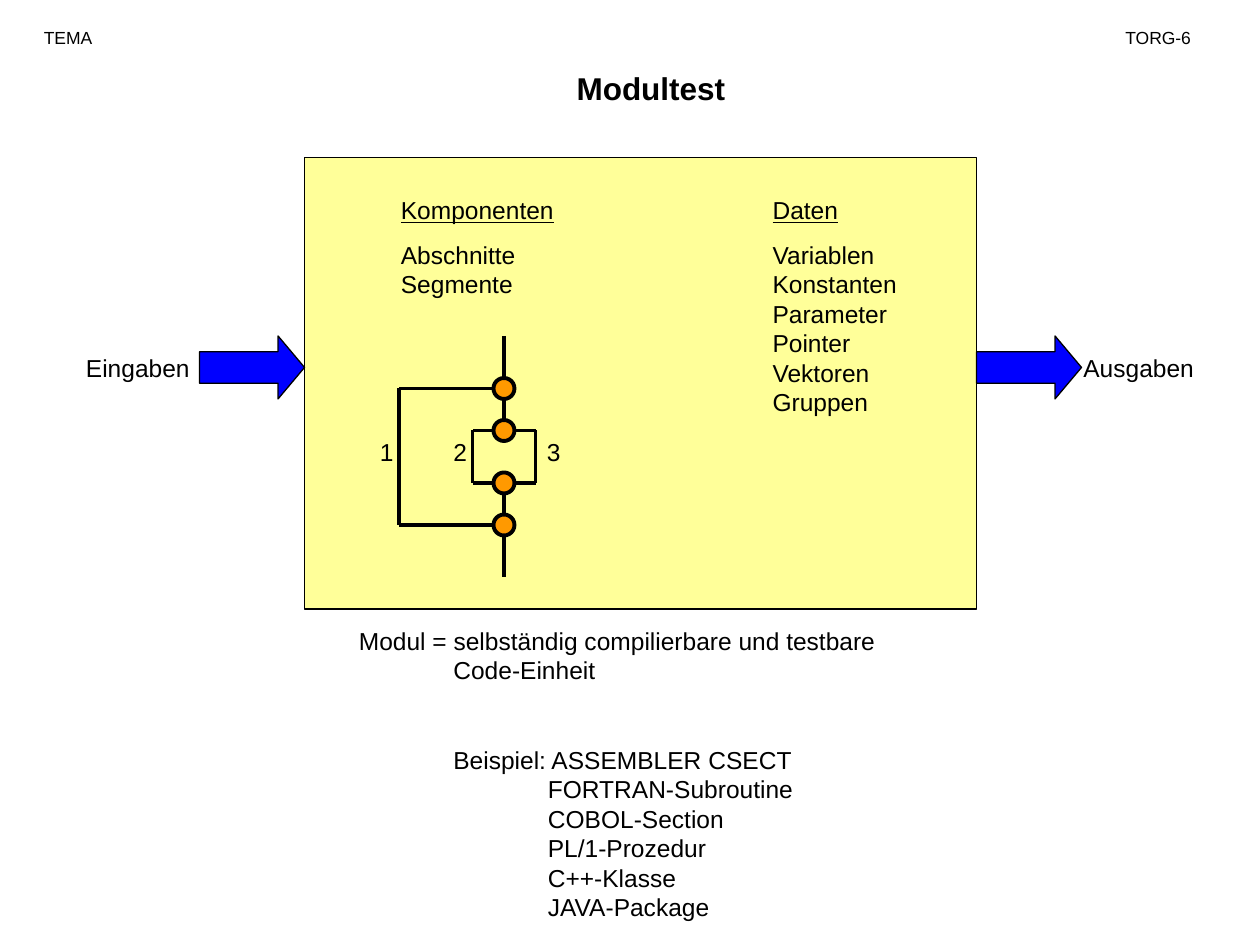
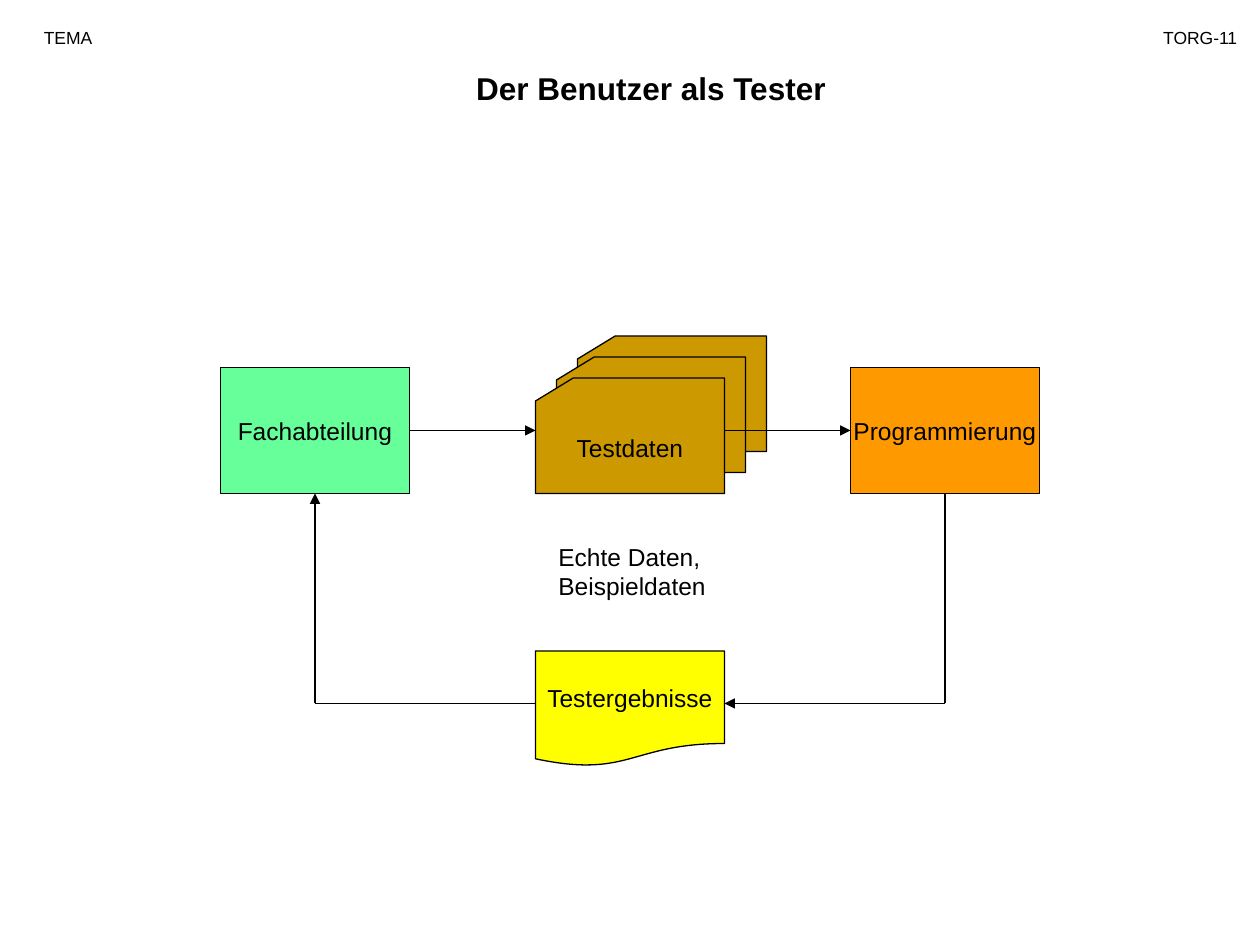
from lxml import etree
from pptx import Presentation
from pptx.dml.color import RGBColor
from pptx.enum.shapes import MSO_CONNECTOR, MSO_SHAPE
from pptx.enum.text import MSO_ANCHOR, MSO_AUTO_SIZE, PP_ALIGN
from pptx.oxml.ns import qn
from pptx.util import Emu, Inches, Pt

CELL = Inches(1) // 12
COLUMNS, ROWS = 120, 90
FONT = "Arial"
BODY_SIZE, TITLE_SIZE, HEADER_SIZE = 14, 18, 10
THIN, THICK = 0.75, 2.25
HANG = Inches(0.75)
COLORS = {
    "ink": "000000",
    "module": "FFFF99",
    "node": "FF9900",
    "flow": "0000FF",
    "cards": "CC9900",
    "department": "66FF99",
    "programming": "FF9900",
    "results": "FFFF00",
}
LEFT, CENTER, RIGHT = PP_ALIGN.LEFT, PP_ALIGN.CENTER, PP_ALIGN.RIGHT
TOP, MIDDLE = MSO_ANCHOR.TOP, MSO_ANCHOR.MIDDLE
RECTANGLE, CIRCLE, ARROW = MSO_SHAPE.RECTANGLE, MSO_SHAPE.OVAL, MSO_SHAPE.RIGHT_ARROW
CARD, DOCUMENT = MSO_SHAPE.FLOWCHART_CARD, MSO_SHAPE.FLOWCHART_DOCUMENT
STRAIGHT = MSO_CONNECTOR.STRAIGHT
SIDE_LEFT, SIDE_BOTTOM, SIDE_RIGHT = 1, 2, 3


def grid(*cells):
    """Turn grid cells into lengths."""
    return [Emu(round(cell * CELL)) for cell in cells]


def color(name):
    """Look up a named colour."""
    return RGBColor.from_string(COLORS[name])


def style(para, size=BODY_SIZE, align=LEFT, bold=False, underline=None):
    """Format a whole paragraph."""
    para.alignment = align
    font = para.font
    font.name, font.size, font.bold, font.underline = FONT, Pt(size), bold, underline
    font.color.rgb = color("ink")


def add_text(page, box, text, size=BODY_SIZE, align=LEFT):
    """Add a wrapping text box and return its frame."""
    frame = page.shapes.add_textbox(*grid(*box)).text_frame
    frame.word_wrap = True
    frame.paragraphs[0].text = text
    style(frame.paragraphs[0], size, align)
    return frame


def add_paragraph(frame, text, space_before):
    """Append a body paragraph after a gap."""
    para = frame.add_paragraph()
    para.text = text
    para.space_before = Pt(space_before)
    style(para)
    return para


def add_box(page, kind, box, fill, text="", weight=THIN):
    """Add an outlined, filled shape with an optional centred label."""
    shape = page.shapes.add_shape(kind, *grid(*box))
    shape.shadow.inherit = False
    shape.fill.solid()
    shape.fill.fore_color.rgb = color(fill)
    shape.line.color.rgb = color("ink")
    shape.line.width = Pt(weight)
    if text:
        frame = shape.text_frame
        frame.word_wrap = False
        frame.vertical_anchor = MIDDLE
        frame.paragraphs[0].text = text
        style(frame.paragraphs[0], align=CENTER)
    return shape


def add_line(page, start, end, weight=THIN, arrow=False):
    """Draw a straight line, with an arrowhead at its end if asked."""
    line = page.shapes.add_connector(STRAIGHT, *grid(*start, *end))
    line.line.color.rgb = color("ink")
    line.line.width = Pt(weight)
    if arrow:
        etree.SubElement(line.get_or_add_ln(), qn("a:tailEnd"), type="triangle")
    etree.SubElement(line._element.spPr, qn("a:effectLst"))
    return line


def add_page(deck, title, code, code_width, code_align):
    """Add a slide with its title and the two header texts."""
    page = deck.slides.add_slide(deck.slide_layouts[5])
    holder = page.shapes.title
    holder.left, holder.top, holder.width, holder.height = grid(26, 6, 72, 4.8)
    frame = holder.text_frame
    frame.auto_size = MSO_AUTO_SIZE.NONE
    frame.vertical_anchor = TOP
    frame.paragraphs[0].text = title
    style(frame.paragraphs[0], TITLE_SIZE, CENTER, bold=True)
    add_text(page, (3, 2, 11, 3.2), "TEMA", HEADER_SIZE)
    add_text(page, (106, 2, code_width, 3.2), code, HEADER_SIZE, code_align)
    return page


def add_listing(page, box, heading, items):
    """Add an underlined heading with its items below."""
    frame = add_text(page, box, heading)
    frame.paragraphs[0].font.underline = True
    add_paragraph(frame, "\n".join(items), 8.8)


def add_flow_graph(page, box):
    """Draw the control flow graph with its three numbered paths."""
    left, top, _, height = box
    spine, radius = left + 10, 1
    nodes = [top + row for row in (5, 9, 14, 18)]
    first, second, third, last = nodes
    for start, end in ((top, first - radius), (first + radius, second - radius),
                       (third + radius, last - radius), (last + radius, top + height)):
        add_line(page, (spine, start), (spine, end), THICK)
    for column, upper, lower in ((left, first, last), (spine - 3, second, third),
                                 (spine + 3, second, third)):
        edge = spine + (radius if column > spine else -radius)
        for row in (upper, lower):
            add_line(page, (edge, row), (column, row), THICK)
        add_line(page, (column, upper), (column, lower), THICK)
    for node in nodes:
        add_box(page, CIRCLE, (spine - radius, node - radius, 2 * radius, 2 * radius),
                "node", weight=THICK)
    for number, column in (("1", -3), ("2", 4), ("3", 12.9)):
        add_text(page, (left + column, top + 9, 4, 4), number)


def add_module(page, box):
    """Draw the module with its contents and the flows in and out."""
    left, top, width, height = box
    add_box(page, RECTANGLE, box, "module")
    add_listing(page, (left + 8, top + 3, 24, 14), "Komponenten", ("Abschnitte", "Segmente"))
    add_listing(page, (left + 43.4, top + 3, 18, 22), "Daten",
                ("Variablen", "Konstanten", "Parameter", "Pointer", "Vektoren", "Gruppen"))
    add_flow_graph(page, (left + 9, top + 17, 13, 23))
    for column in (left - 10, left + width):
        arrow = add_box(page, ARROW, (column, top + 17, 10, 6), "flow")
        arrow.adjustments[1] = 0.42
    for label, column in (("Eingaben", left - 22), ("Ausgaben", left + width + 9)):
        add_text(page, (column, top + 18, 14, 4), label)


def add_definition(page, box):
    """Write the module definition and its examples with hanging indents."""
    frame = add_text(page, box,
                     "Modul = selbständig compilierbare und testbare\nCode-Einheit")
    examples = ("Beispiel: ASSEMBLER CSECT", "FORTRAN-Subroutine", "COBOL-Section",
                "PL/1-Prozedur", "C++-Klasse", "JAVA-Package")
    add_paragraph(frame, "\n".join(examples), 34.5)
    for level, para in enumerate(frame.paragraphs, 1):
        properties = para._p.get_or_add_pPr()
        properties.set("marL", str(level * HANG))
        properties.set("indent", str(-HANG))


def add_test_cycle(page, box):
    """Draw the cycle from department to programming and back."""
    left, top, width, height = box
    block, card = 18, 11
    middle, right = left + (width - block) / 2, left + width - block
    for shift in (4, 2, 0):
        add_box(page, CARD, (middle + shift, top + 4 - shift, block, card), "cards",
                "" if shift else "Testdaten")
    programming = add_box(page, RECTANGLE, (right, top + 3, block, 12),
                          "programming", "Programmierung")
    department = add_box(page, RECTANGLE, (left, top + 3, block, 12),
                         "department", "Fachabteilung")
    add_box(page, DOCUMENT, (middle, top + height - card, block, card),
            "results", "Testergebnisse")

    forward, floor, back = top + 9, top + 15, top + 35
    down, up = right + block / 2, left + block / 2
    line = add_line(page, (left + block, forward), (middle, forward), arrow=True)
    line.begin_connect(department, SIDE_RIGHT)
    line = add_line(page, (middle + block, forward), (right, forward), arrow=True)
    line.end_connect(programming, SIDE_LEFT)
    line = add_line(page, (down, floor), (down, back))
    line.begin_connect(programming, SIDE_BOTTOM)
    add_line(page, (down, back), (middle + block, back), arrow=True)
    add_line(page, (middle, back), (up, back))
    line = add_line(page, (up, back), (up, floor), arrow=True)
    line.end_connect(department, SIDE_BOTTOM)
    add_text(page, (middle + 1, top + 19, 17, 6.8), "Echte Daten,\nBeispieldaten")


def main():
    """Build both slides and save the deck."""
    deck = Presentation()
    deck.slide_width, deck.slide_height = grid(COLUMNS, ROWS)
    page = add_page(deck, "Modultest", "TORG-6", 12, LEFT)
    add_module(page, (29, 15, 64, 43))
    add_definition(page, (33, 59, 55, 29.4))
    page = add_page(deck, "Der Benutzer als Tester", "TORG-11", 13, RIGHT)
    add_test_cycle(page, (21, 32, 78, 41))
    deck.save("out.pptx")


if __name__ == "__main__":
    main()
